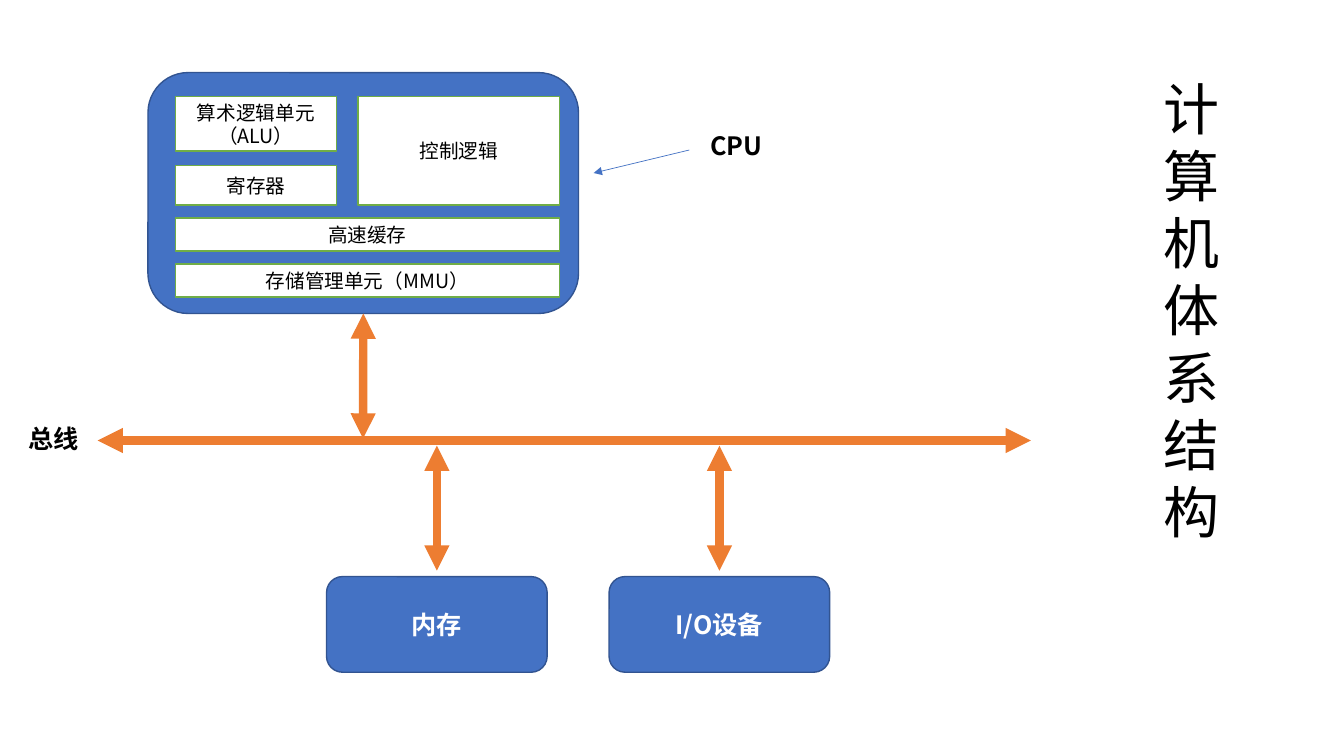
import pptx
import pptx.util
import pptx.dml.color
import pptx.enum.shapes
import pptx.enum.text
import pptx.oxml
import pptx.oxml.ns

Cm = pptx.util.Cm
Pt = pptx.util.Pt
Kind = pptx.enum.shapes.MSO_SHAPE
Align = pptx.enum.text.PP_ALIGN


class Board:
    font = "Noto Sans CJK SC"
    leading = 1.2
    colors = {
        "blue": "4472C4",
        "navy": "325491",
        "green": "70AD47",
        "orange": "ED7D31",
        "white": "FFFFFF",
        "black": "000000",
    }

    def __init__(self, slide):
        self.slide = slide

    def color(self, name):
        return pptx.dml.color.RGBColor.from_string(self.colors[name])

    def letter(self, shape, text, size, color, bold=False, align=Align.LEFT):
        shape.text_frame.word_wrap = True
        para = shape.text_frame.paragraphs[0]
        para.text = text
        para.alignment = align
        para.line_spacing = Pt(size * self.leading)
        para.font.size = Pt(size)
        para.font.bold = bold
        para.font.name = self.font
        para.font.color.rgb = self.color(color)
        for run in para.runs:
            east = pptx.oxml.ns.qn("a:ea")
            props = run.font._element
            props.append(props.makeelement(east, {"typeface": self.font}))

    def box(self, kind, left, top, width, height, fill, line):
        shape = self.slide.shapes.add_shape(
            kind, Cm(left), Cm(top), Cm(width), Cm(height))
        shape.shadow.inherit = False
        shape.fill.solid()
        shape.fill.fore_color.rgb = self.color(fill)
        shape.line.color.rgb = self.color(line)
        shape.line.width = Pt(1)
        return shape

    def cell(self, text, left, top, width, height):
        shape = self.box(Kind.RECTANGLE, left, top, width, height,
                         "white", "green")
        self.letter(shape, text, 14, "black", align=Align.CENTER)

    def block(self, text, left, top, width, height):
        shape = self.box(Kind.ROUNDED_RECTANGLE, left, top, width, height,
                         "blue", "navy")
        self.letter(shape, text, 18, "white", True, Align.CENTER)

    def label(self, text, left, top, width, height, size, bold):
        shape = self.slide.shapes.add_textbox(
            Cm(left), Cm(top), Cm(width), Cm(height))
        self.letter(shape, text, size, "black", bold)
        shape.text_frame.auto_size = pptx.enum.text.MSO_AUTO_SIZE.SHAPE_TO_FIT_TEXT

    def arrow(self, start, end, color="orange", width=6, tips=("head", "tail")):
        link = self.slide.shapes.add_connector(
            pptx.enum.shapes.MSO_CONNECTOR.STRAIGHT,
            Cm(start[0]), Cm(start[1]), Cm(end[0]), Cm(end[1]))
        link.line.color.rgb = self.color(color)
        link.line.width = Pt(width)
        props = link._element.spPr
        line = props.find(pptx.oxml.ns.qn("a:ln"))
        for tip in tips:
            tag = pptx.oxml.ns.qn(f"a:{tip}End")
            line.append(line.makeelement(tag, {"type": "triangle"}))
        props.append(props.makeelement(pptx.oxml.ns.qn("a:effectLst"), {}))
        return link


def main():
    deck = pptx.Presentation()
    deck.slide_width, deck.slide_height = Cm(33.87), Cm(19.05)
    board = Board(deck.slides.add_slide(deck.slide_layouts[6]))

    cpu = board.box(Kind.ROUNDED_RECTANGLE, 3.73, 1.83, 10.85, 6.07,
                    "blue", "navy")
    left, top, full = 4.42, 2.44, 9.68
    board.cell("算术逻辑单元（ALU）", left, top, 4.06, 1.37)
    board.cell("寄存器", left, 4.17, 4.06, 1)
    board.cell("控制逻辑", 9.02, top, 5.08, 2.73)
    for row, text in enumerate(("高速缓存", "存储管理单元（MMU）")):
        board.cell(text, left, 5.49 + row * 1.16, full, 0.84)

    board.label("CPU", 17.65, 3.15, 4, 1.02, 18, True)
    board.arrow((17.37, 3.78), (14.96, 4.36), "blue", 0.5, ("tail",))

    board.arrow((2.46, 11.1), (25.98, 11.1))
    board.label("总线", 0.46, 10.54, 4, 1.02, 18, True)
    link = board.arrow((9.15, 7.9), (9.15, 11.05))
    link.begin_connect(cpu, 2)

    width = 5.56
    for text, left in (("内存", 8.23), ("I/O设备", 15.35)):
        middle = left + width / 2
        board.arrow((middle, 11.23), (middle, 14.38))
        board.block(text, left, 14.53, width, 2.41)

    board.label("计算机体系结构", 29.06, 1.75, 1.42, 12.22, 40, False)
    deck.save("out.pptx")


if __name__ == "__main__":
    main()
